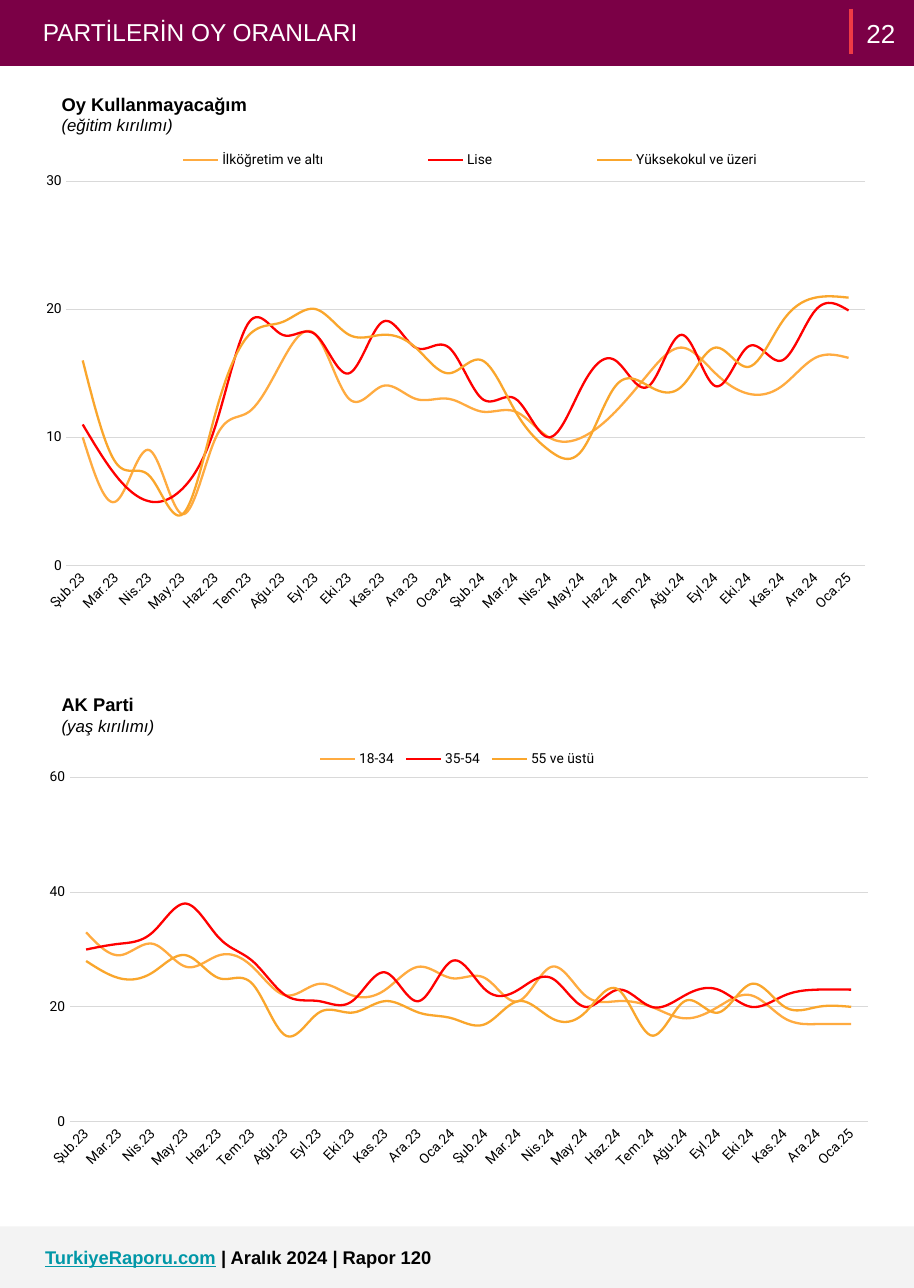
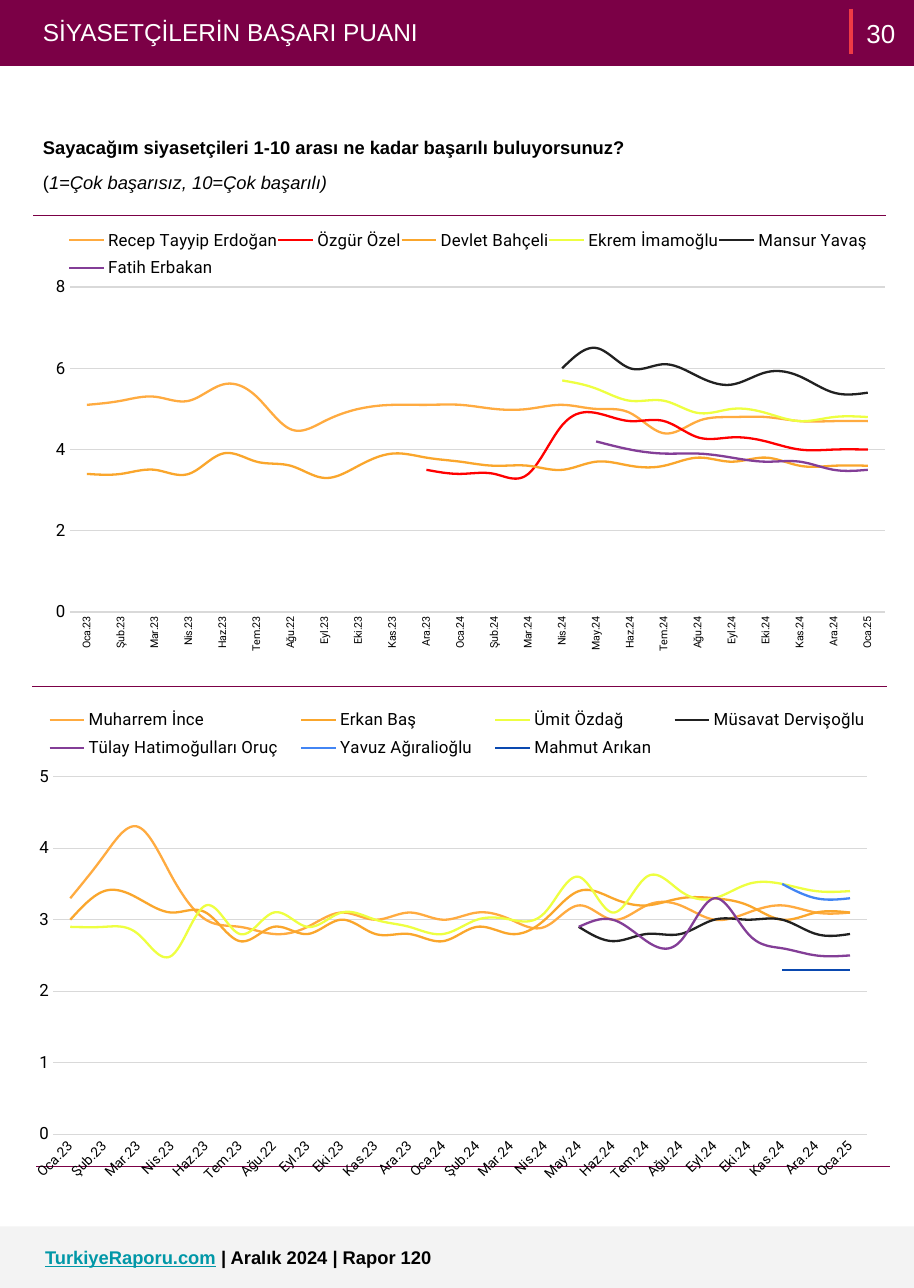
from dataclasses import dataclass
from typing import Any

from lxml.etree import SubElement
from pptx import Presentation
from pptx.chart.data import CategoryChartData
from pptx.dml.color import RGBColor
from pptx.enum.chart import XL_CHART_TYPE, XL_LEGEND_POSITION, XL_MARKER_STYLE, XL_TICK_MARK
from pptx.enum.shapes import MSO_CONNECTOR, MSO_SHAPE
from pptx.enum.text import MSO_ANCHOR, MSO_AUTO_SIZE, PP_ALIGN
from pptx.oxml import parse_xml
from pptx.oxml.ns import nsdecls, qn
from pptx.util import Cm, Pt


@dataclass(frozen=True)
class Theme:
    band: str = "7B0046"
    accent: str = "EF3B45"
    footer: str = "F3F3F3"
    link: str = "0097A7"
    white: str = "FFFFFF"
    ink: str = "000000"
    grid: str = "D9D9D9"
    orange: str = "FFAB40"
    red: str = "FF0000"
    amber: str = "FAA62C"
    yellow: str = "EEFF41"
    black: str = "212121"
    purple: str = "833E97"
    blue: str = "4285F4"
    navy: str = "0A49B0"
    text_font: str = "Arial"
    chart_font: str = "Roboto"
    title_pt: float = 16
    number_pt: float = 17
    head_pt: float = 12
    note_pt: float = 11
    label_pt: float = 9
    small_pt: float = 7
    hairline: float = 0.75
    curve: float = 1.5


T = Theme()


@dataclass(frozen=True)
class Box:
    x: float
    y: float
    w: float
    h: float

    def emu(self) -> tuple:
        return Cm(self.x), Cm(self.y), Cm(self.w), Cm(self.h)


@dataclass(frozen=True)
class Run:
    text: str
    size: float = T.head_pt
    color: str = T.ink
    bold: bool = False
    italic: bool = False
    underline: bool = False


@dataclass(frozen=True)
class Series:
    name: str
    color: str
    values: tuple
    width: float = T.curve


@dataclass(frozen=True)
class LineChart:
    box: Box
    cats: list
    top: float
    step: float
    plot: tuple
    legend: tuple
    series: tuple
    cat_pt: float = T.label_pt
    val_pt: float = T.label_pt
    turn: int = -45


@dataclass(frozen=True)
class Heading:
    box: Box
    title: str
    note: str


SLIDE_W, SLIDE_H, BAND_H = 21.08, 29.72, 1.52
YEAR_24 = "Oca Şub Mar Nis May Haz Tem Ağu Eyl Eki Kas Ara".split()
RECENT = [f"{m}.24" for m in YEAR_24 if m != "Oca"] + ["Oca.25"]
VOTE_CATS = "Şub.23 Mar.23 Nis.23 May.23 Haz.23 Tem.23 Ağu.23 Eyl.23 Eki.23 Kas.23 Ara.23 Oca.24".split() + RECENT
SCORE_CATS = "Oca.23 Şub.23 Mar.23 Nis.23 Haz.23 Tem.23 Ağu.22 Eyl.23 Eki.23 Kas.23 Ara.23 Oca.24".split() + RECENT

HEADINGS = (
    Heading(Box(1.17, 1.9, 5, 1.07), "Oy Kullanmayacağım", "(eğitim kırılımı)"),
    Heading(Box(1.17, 15.75, 3.94, 1.07), "AK Parti", "(yaş kırılımı)"),
)

VOTE_CHARTS = (
    LineChart(
        Box(0.74, 3.07, 19.61, 12.32), VOTE_CATS, 30, 10,
        (0.04, 0.09, 0.94, 0.72), (0.06, 0.02, 0.91, 0.06),
        (
            Series("İlköğretim ve altı", T.orange, (10, 5, 9, 4, 10, 12, 16, 18, 13, 14, 13, 13, 12, 12, 10, 10,
                                                    12, 15, 17, 15, 13.4, 14, 16.2, 16.2)),
            Series("Lise", T.red, (11, 7, 5, 6, 11, 19, 18, 18, 15, 19, 17, 17, 13, 13, 10, 14,
                                   16, 14, 18, 14, 17.1, 16, 19.9, 19.9)),
            Series("Yüksekokul ve üzeri", T.amber, (16, 8, 7, 4, 12, 18, 19, 20, 18, 18, 17, 15, 16, 12, 9, 9,
                                                    14, 14, 14, 17, 15.5, 19, 20.9, 20.9)),
        ),
    ),
    LineChart(
        Box(0.74, 16.94, 19.61, 11.35), VOTE_CATS, 60, 20,
        (0.044, 0.088, 0.939, 0.7), (0.33, 0.02, 0.34, 0.06),
        (
            Series("18-34", T.orange, (33, 29, 31, 27, 29, 27, 22, 24, 22, 23, 27, 25, 25, 21, 27, 22,
                                       21, 20, 18, 20, 22, 18, 17, 17)),
            Series("35-54", T.red, (30, 31, 33, 38, 32, 28, 22, 21, 21, 26, 21, 28, 23, 23, 25, 20,
                                    23, 20, 22, 23, 20, 22, 23, 23)),
            Series("55 ve üstü", T.amber, (28, 25, 26, 29, 25, 24, 15, 19, 19, 21, 19, 18, 17, 21, 18, 19,
                                           23, 15, 21, 19, 24, 20, 20, 20)),
        ),
    ),
)

SCORE_CHARTS = (
    LineChart(
        Box(0.79, 4.93, 19.63, 11), SCORE_CATS, 8, 2,
        (0.042, 0.154, 0.958, 0.682), (0.04, 0.02, 0.94, 0.13),
        (
            Series("Recep Tayyip Erdoğan", T.orange, (5.1, 5.2, 5.3, 5.2, 5.6, 5.3, 4.5, 4.7, 5, 5.1, 5.1, 5.1, 5, 5,
                                                      5.1, 5, 4.9, 4.4, 4.7, 4.8, 4.8, 4.7, 4.7, 4.7)),
            Series("Özgür Özel", T.red, (3.5, 3.4, 3.4, 3.4, 4.6, 4.9, 4.7, 4.7, 4.3, 4.3, 4.2, 4, 4, 4)),
            Series("Devlet Bahçeli", T.amber, (3.4, 3.4, 3.5, 3.4, 3.9, 3.7, 3.6, 3.3, 3.6, 3.9, 3.8, 3.7, 3.6, 3.6,
                                               3.5, 3.7, 3.6, 3.6, 3.8, 3.7, 3.8, 3.6, 3.6, 3.6)),
            Series("Ekrem İmamoğlu", T.yellow, (5.7, 5.5, 5.2, 5.2, 4.9, 5, 4.9, 4.7, 4.8, 4.8)),
            Series("Mansur Yavaş", T.black, (6, 6.5, 6, 6.1, 5.8, 5.6, 5.9, 5.8, 5.4, 5.4)),
            Series("Fatih Erbakan", T.purple, (4.2, 4, 3.9, 3.9, 3.8, 3.7, 3.7, 3.5, 3.5)),
        ),
        cat_pt=T.small_pt, val_pt=T.note_pt, turn=-90,
    ),
    LineChart(
        Box(0.74, 15.95, 19.61, 12.27), SCORE_CATS, 5, 1,
        (0.025, 0.161, 0.957, 0.672), (0, 0.02, 1, 0.12),
        (
            Series("Muharrem İnce", T.orange, (3.3, 3.9, 4.3, 3.6, 3, 2.9, 2.8, 2.9, 3.1, 3, 3.1, 3, 3.1, 3,
                                               2.9, 3.2, 3, 3.2, 3.2, 3, 3.1, 3.2, 3.1, 3.1)),
            Series("Erkan Baş", T.amber, (3, 3.4, 3.3, 3.1, 3.1, 2.7, 2.9, 2.8, 3, 2.8, 2.8, 2.7, 2.9, 2.8,
                                          3, 3.4, 3.3, 3.2, 3.3, 3.3, 3.2, 3, 3.1, 3.1)),
            Series("Ümit Özdağ", T.yellow, (2.9, 2.9, 2.8, 2.5, 3.2, 2.8, 3.1, 2.9, 3.1, 3, 2.9, 2.8, 3, 3,
                                            3.1, 3.6, 3.1, 3.6, 3.4, 3.3, 3.5, 3.5, 3.4, 3.4)),
            Series("Müsavat Dervişoğlu", T.black, (2.9, 2.7, 2.8, 2.8, 3, 3, 3, 2.8, 2.8)),
            Series("Tülay Hatimoğulları Oruç", T.purple, (2.9, 3, 2.7, 2.7, 3.3, 2.8, 2.6, 2.5, 2.5)),
            Series("Yavuz Ağıralioğlu", T.blue, (3.5, 3.3, 3.3)),
            Series("Mahmut Arıkan", T.navy, (2.3, 2.3, 2.3), 1.15),
        ),
        val_pt=T.note_pt,
    ),
)


def apply(obj: Any, **values: Any) -> None:
    for name, value in values.items():
        setattr(obj, name, value)


def style_font(font: Any, size: float, name: str, color: str = T.ink, **values: Any) -> None:
    apply(font, size=Pt(size), name=name, **values)
    font.color.rgb = RGBColor.from_string(color)


def style_line(line: Any, color: str, width: float) -> None:
    line.color.rgb = RGBColor.from_string(color)
    line.width = Pt(width)


def fill_text(tf: Any, *paragraphs: tuple, align: Any = PP_ALIGN.LEFT) -> None:
    for i, runs in enumerate(paragraphs):
        p = tf.add_paragraph() if i else tf.paragraphs[0]
        p.alignment = align
        for run in runs:
            r = p.add_run()
            r.text = run.text
            style_font(r.font, run.size, T.text_font, run.color,
                       bold=run.bold, italic=run.italic, underline=run.underline)


def set_frame(tf: Any, anchor: Any = MSO_ANCHOR.TOP) -> None:
    margins = {f"margin_{side}": Cm(0.25) for side in ("left", "top", "right", "bottom")}
    apply(tf, word_wrap=True, auto_size=MSO_AUTO_SIZE.NONE, vertical_anchor=anchor, **margins)


def add_text(s: Any, box: Box, *paragraphs: tuple, anchor: Any = MSO_ANCHOR.TOP, align: Any = PP_ALIGN.LEFT) -> None:
    tf = s.shapes.add_textbox(*box.emu()).text_frame
    set_frame(tf, anchor)
    fill_text(tf, *paragraphs, align=align)


def add_band(s: Any, box: Box, color: str) -> None:
    sp = s.shapes.add_shape(MSO_SHAPE.RECTANGLE, *box.emu())
    sp.shadow.inherit = False
    sp.fill.solid()
    sp.fill.fore_color.rgb = RGBColor.from_string(color)
    sp.line.fill.background()


def add_rule(s: Any, x1: float, y1: float, x2: float, y2: float, color: str, width: float) -> None:
    rule = s.shapes.add_connector(MSO_CONNECTOR.STRAIGHT, Cm(x1), Cm(y1), Cm(x2), Cm(y2))
    style_line(rule.line, color, width)
    SubElement(rule.element.spPr, qn("a:effectLst"))


def add_page(prs: Any, title: str, number: str) -> Any:
    s = prs.slides.add_slide(prs.slide_layouts[5])
    add_band(s, Box(0, 28.3, SLIDE_W, SLIDE_H - 28.3), T.footer)
    add_text(s, Box(0.79, 28.5, 17.68, 1.02), (
        Run("TurkiyeRaporu.com", color=T.link, bold=True, underline=True),
        Run(" ", color=T.accent, bold=True),
        Run("| Aralık 2024 | Rapor 120", bold=True),
    ))
    add_band(s, Box(0, 0, SLIDE_W, BAND_H), T.band)
    add_rule(s, 19.63, 0.2, 19.63, 1.24, T.accent, 2.25)
    sp = s.shapes.title
    s.shapes.element.append(sp.element)
    apply(sp, **dict(zip(("left", "top", "width", "height"), Box(0.74, 0.15, 16.38, 1.19).emu())))
    set_frame(sp.text_frame)
    fill_text(sp.text_frame, (Run(title, T.title_pt, T.white),))
    add_text(s, Box(19.63, -0.38, 1.37, 2.29), (Run(number, T.number_pt, T.white),),
             anchor=MSO_ANCHOR.MIDDLE, align=PP_ALIGN.CENTER)
    return s


def layout_xml(area: tuple, inner: bool) -> Any:
    target = '<c:layoutTarget val="inner"/>' if inner else ""
    modes = "".join(f'<c:{k}Mode val="edge"/>' for k in "xy")
    sizes = "".join(f'<c:{k} val="{v}"/>' for k, v in zip("xywh", area))
    return parse_xml(f'<c:layout {nsdecls("c")}><c:manualLayout>{target}{modes}{sizes}</c:manualLayout></c:layout>')


def replace_layout(parent: Any, layout: Any, index: int) -> None:
    for old in parent.findall(qn("c:layout")):
        parent.remove(old)
    parent.insert(index, layout)


def add_line_chart(s: Any, spec: LineChart) -> None:
    data = CategoryChartData()
    data.categories = spec.cats
    for item in spec.series:
        data.add_series(item.name, (None,) * (len(spec.cats) - len(item.values)) + item.values)
    chart = s.shapes.add_chart(XL_CHART_TYPE.LINE, *spec.box.emu(), data).chart
    apply(chart, has_title=False, has_legend=True)
    style_font(chart.font, 10, T.chart_font)
    apply(chart.legend, position=XL_LEGEND_POSITION.BOTTOM, include_in_layout=False)
    style_font(chart.legend.font, spec.val_pt, T.chart_font)
    replace_layout(chart.legend._element, layout_xml(spec.legend, False), 1)
    plot = chart.plots[0]
    plot.vary_by_categories = False
    replace_layout(plot._element.getparent(), layout_xml(spec.plot, True), 0)
    for item, ser in zip(spec.series, plot.series):
        style_line(ser.format.line, item.color, item.width)
        ser.marker.style = XL_MARKER_STYLE.NONE
        ser.smooth = True

    cat, val = chart.category_axis, chart.value_axis
    for axis, size in ((cat, spec.cat_pt), (val, spec.val_pt)):
        apply(axis, major_tick_mark=XL_TICK_MARK.NONE, minor_tick_mark=XL_TICK_MARK.NONE)
        style_font(axis.tick_labels.font, size, T.chart_font)
    cat._element.find(qn("c:txPr")).find(qn("a:bodyPr")).set("rot", str(spec.turn * 60000))
    style_line(cat.format.line, T.grid, T.hairline)
    apply(val, minimum_scale=0, maximum_scale=spec.top, major_unit=spec.step, has_major_gridlines=True)
    style_line(val.major_gridlines.format.line, T.grid, T.hairline)
    val.format.line.fill.background()
    for old in val._element.findall(qn("c:crossBetween")):
        val._element.remove(old)
    val._element.find(qn("c:crosses")).addnext(parse_xml(f'<c:crossBetween {nsdecls("c")} val="between"/>'))


def add_question(s: Any) -> None:
    table = s.shapes.add_table(1, 1, *Box(0.74, 2.92, 19.71, 2.06).emu()).table
    apply(table, first_row=False, horz_banding=False)
    cell = table.cell(0, 0)
    apply(cell, **{f"margin_{side}": Cm(0.25) for side in ("left", "top", "right", "bottom")})
    fill_text(cell.text_frame,
              (Run("Sayacağım siyasetçileri 1-10 arası ne kadar başarılı buluyorsunuz?", bold=True),),
              (Run("("), Run("1=Çok başarısız, 10=Çok başarılı)", italic=True)))
    cell.text_frame.paragraphs[1].space_before = Pt(10)
    border = parse_xml(f'<a:lnB {nsdecls("a")} w="{Pt(T.hairline)}"><a:solidFill>'
                       f'<a:srgbClr val="{T.band}"/></a:solidFill></a:lnB>')
    cell.fill.background()
    cell._tc.get_or_add_tcPr().insert(0, border)


def main() -> None:
    prs = Presentation()
    apply(prs, slide_width=Cm(SLIDE_W), slide_height=Cm(SLIDE_H))

    s = add_page(prs, "PARTİLERİN OY ORANLARI", "22")
    for head in HEADINGS:
        add_text(s, head.box, (Run(head.title, bold=True),), (Run(head.note, T.note_pt, italic=True),))
    for spec in VOTE_CHARTS:
        add_line_chart(s, spec)

    s = add_page(prs, "SİYASETÇİLERİN BAŞARI PUANI", "30")
    for x1, x2, y in ((0.84, 20.52, 26.92), (0.74, 20.45, 15.85)):
        add_rule(s, x1, y, x2, y, T.band, T.hairline)
    add_question(s)
    for spec in SCORE_CHARTS:
        add_line_chart(s, spec)

    prs.save("out.pptx")


if __name__ == "__main__":
    main()
